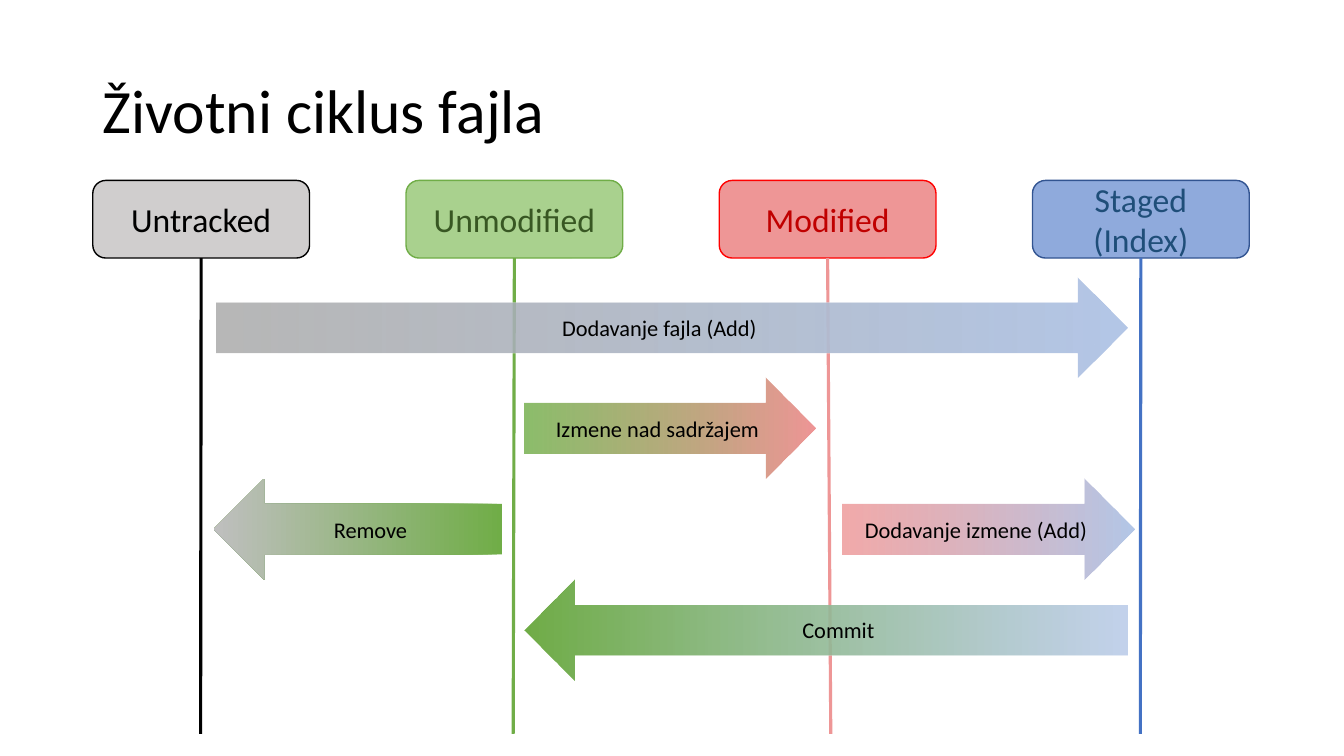
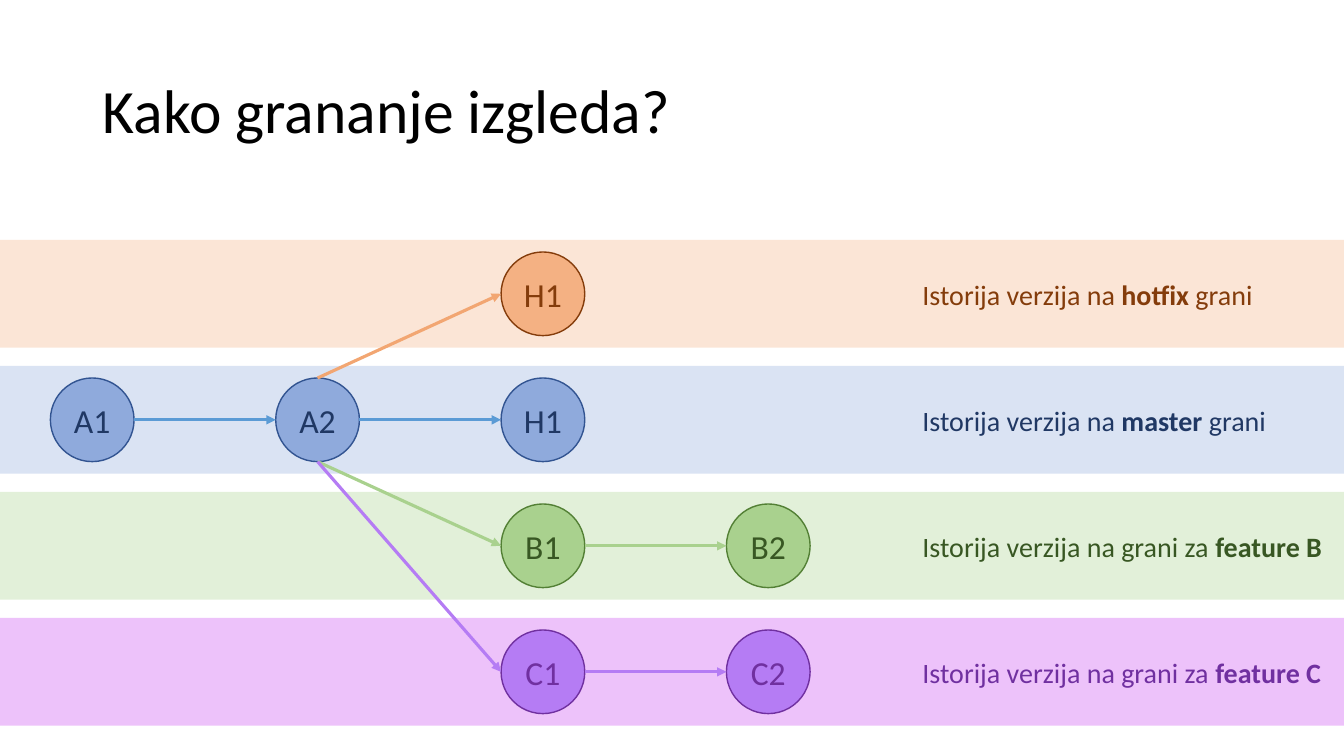
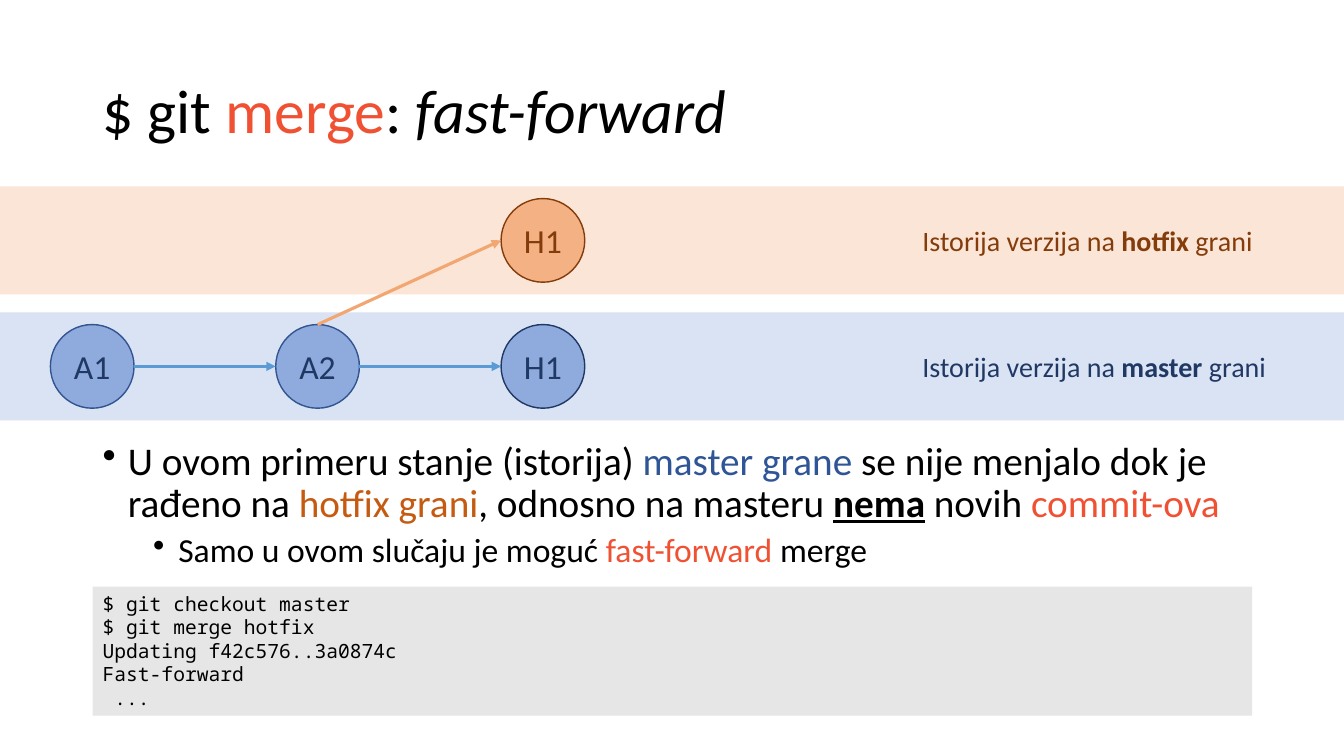
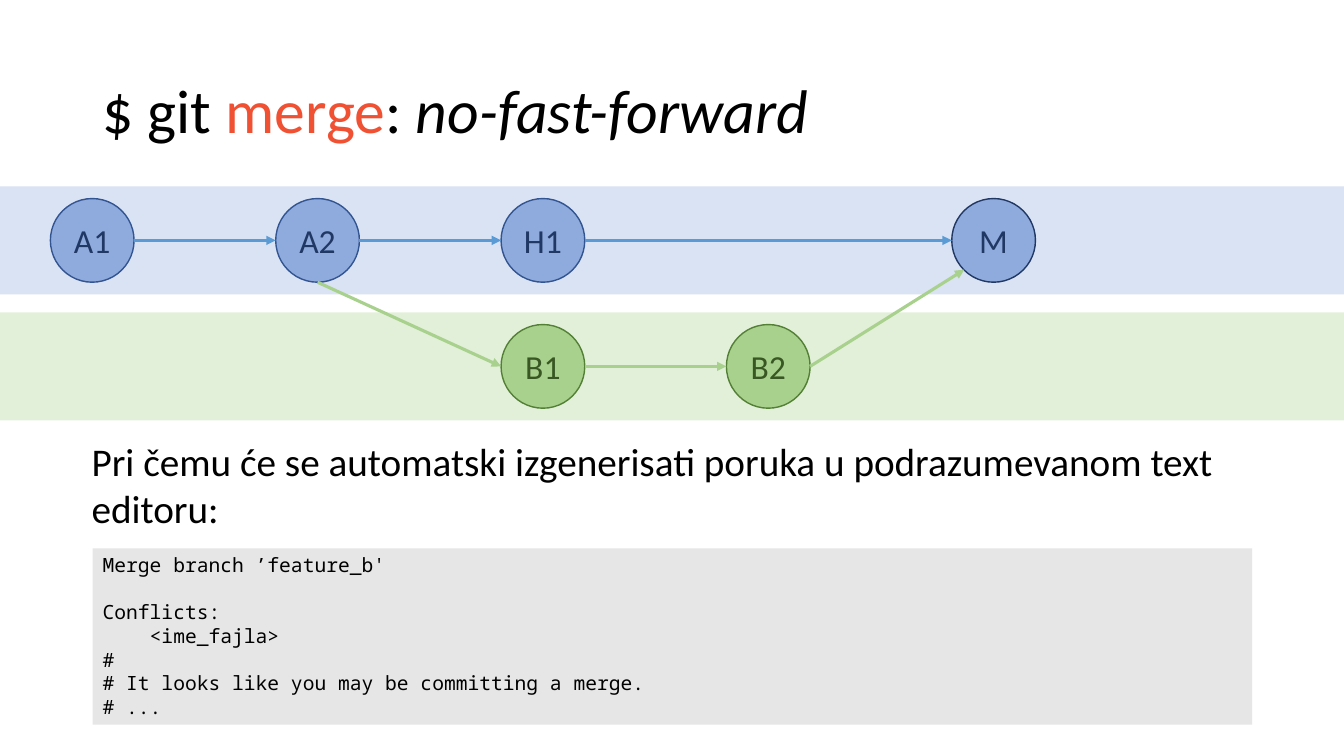
from dataclasses import dataclass
from typing import Optional, Sequence

from pptx import Presentation, util as u
from pptx.dml import color
from pptx.enum import shapes, text
from pptx.oxml import ns, xmlchemy as xml

COLOURS = {
    "black": "000000",
    "accent": "F05133",
    "code": "E7E6E6",
    "grey": "D0CECE",
    "arrow_grey": "A6A6A6",
    "remove_grey": "BFBFBF",
    "green": "70AD47",
    "pale_green": "A9D18E",
    "dark_green": "385723",
    "red": "FF0000",
    "pale_red": "EE9696",
    "dark_red": "C00000",
    "blue": "4472C4",
    "pale_blue": "B4C7E7",
    "node_blue": "8FAADC",
    "outline_blue": "325491",
    "staged_ink": "1F4E79",
    "navy": "203864",
    "master_text": "2F5597",
    "hotfix_text": "C55A11",
    "master_band": "DAE3F3",
    "master_link": "5B9BD5",
    "hotfix_band": "FBE5D6",
    "hotfix_node": "F4B183",
    "hotfix_ink": "843C0B",
    "hotfix_link": "F2A672",
    "b_band": "E2F0D9",
    "b_outline": "538035",
    "c_band": "EDC2FA",
    "c_node": "B57CF4",
    "c_ink": "7030A0",
}
SANS, MONO = "Calibri", "Noto Sans Mono"
SLIDE_WIDTH, SLIDE_HEIGHT = 13.33, 7.5
MARGIN, CONTENT_WIDTH = 0.92, 11.5

HEADER_TOP, HEADER_WIDTH, HEADER_HEIGHT = 1.79, 2.15, 0.77
HEADER_PITCH = (10.24 - MARGIN) / 3
LIFELINE_END = 7.28
ARROW_TOP, ARROW_HEIGHT = 2.75, 1.0

LANE_PITCH, LANE_HEIGHT = 1.25, 1.07
COMMIT_LEFT, COMMIT_PITCH, COMMIT_SIZE = 0.5, 2.235, 0.83
LABEL_LEFT = 9.05

TOP, BOTTOM, LEFT, RIGHT = (0.5, 0), (0.5, 1), (0, 0.5), (1, 0.5)
LOWER_LEFT = (0.15, 0.85)


@dataclass(frozen=True)
class Run:
    text: str
    colour: str = "black"
    bold: bool = False
    italic: bool = False
    underline: bool = False


@dataclass(frozen=True)
class Paragraph:
    runs: Sequence[Run]
    size: float
    font: str = SANS
    align: text.PP_ALIGN = text.PP_ALIGN.LEFT
    line_spacing: Optional[float] = None
    space_before: float = 0
    bullet_indent: Optional[float] = None


@dataclass(frozen=True)
class State:
    lines: Sequence[str]
    fill: str
    outline: str
    ink: str
    lifeline: str
    lifeline_foot: float


@dataclass(frozen=True)
class Transition:
    label: str
    row: int
    left: float
    width: float
    start: str
    end: str
    opacity: int = 80
    backward: bool = False


@dataclass(frozen=True)
class Branch:
    band: str
    node: str
    outline: str
    ink: str
    link: str
    label: Sequence[tuple[str, bool]]


@dataclass(frozen=True)
class Commit:
    name: str
    branch: Branch
    column: int
    outline: Optional[str] = None


@dataclass(frozen=True)
class Link:
    source: Commit
    target: Commit
    branch: Branch
    leave: tuple[float, float] = RIGHT
    arrive: tuple[float, float] = LEFT


STATES = (
    State(("Untracked",), "grey", "black", "black", "black", 1.99),
    State(("Unmodified",), "pale_green", "green", "dark_green", "green", 5.09),
    State(("Modified",), "pale_red", "red", "dark_red", "pale_red", 8.24),
    State(("Staged", "(Index)"), "node_blue", "outline_blue", "staged_ink", "blue", 11.31),
)
TRANSITIONS = (
    Transition("Dodavanje fajla (Add)", 0, 2.15, 9.03, "arrow_grey", "pale_blue"),
    Transition("Izmene nad sadržajem", 1, 5.2, 2.89, "green", "pale_red"),
    Transition("Remove", 2, 2.12, 2.86, "green", "remove_grey", 100, True),
    Transition("Dodavanje izmene (Add)", 2, 8.36, 2.89, "pale_red", "pale_blue"),
    Transition("Commit", 3, 5.2, 5.98, "pale_blue", "green", 80, True),
)

HOTFIX = Branch("hotfix_band", "hotfix_node", "hotfix_ink", "hotfix_ink", "hotfix_link",
                (("Istorija verzija na ", False), ("hotfix ", True), ("grani", False)))
MASTER = Branch("master_band", "node_blue", "outline_blue", "navy", "master_link",
                (("Istorija verzija na ", False), ("master ", True), ("grani", False)))
FEATURE_B = Branch("b_band", "pale_green", "b_outline", "dark_green", "pale_green",
                   (("Istorija verzija na grani za ", False), ("feature B", True)))
FEATURE_C = Branch("c_band", "c_node", "c_ink", "c_ink", "c_node",
                   (("Istorija verzija na grani za ", False), ("feature C", True)))

A1, A2, H1 = (Commit(name, MASTER, i) for i, name in enumerate(("A1", "A2", "H1")))
H1_FORWARDED = Commit("H1", MASTER, 2, "navy")
MERGED = Commit("M", MASTER, 4, "navy")
H1_HOTFIX = Commit("H1", HOTFIX, 2)
B1, B2 = Commit("B1", FEATURE_B, 2), Commit("B2", FEATURE_B, 3)
C1, C2 = Commit("C1", FEATURE_C, 2), Commit("C2", FEATURE_C, 3)

A1_A2 = Link(A1, A2, MASTER)
A2_H1 = Link(A2, H1, MASTER)
A2_HOTFIX = Link(A2, H1_HOTFIX, HOTFIX, TOP)
A2_B1 = Link(A2, B1, FEATURE_B, BOTTOM)
B1_B2 = Link(B1, B2, FEATURE_B)


def rgb(name: str) -> color.RGBColor:
    return color.RGBColor.from_string(COLOURS[name])


def box(left: float, top: float, width: float, height: float) -> list[u.Length]:
    return [u.Inches(value) for value in (left, top, width, height)]


def write(shape, paragraphs: Sequence[Paragraph], anchor=text.MSO_ANCHOR.TOP) -> None:
    frame = shape.text_frame
    frame.word_wrap = True
    frame.vertical_anchor = anchor
    for index, content in enumerate(paragraphs):
        paragraph = frame.add_paragraph() if index else frame.paragraphs[0]
        if content.bullet_indent is not None:
            properties = paragraph._p.get_or_add_pPr()
            properties.set("marL", str(u.Inches(content.bullet_indent)))
            properties.set("indent", str(u.Inches(-0.25)))
            bullet = xml.OxmlElement("a:buChar")
            bullet.set("char", "•")
            properties.append(bullet)
        paragraph.alignment = content.align
        if content.line_spacing:
            paragraph.line_spacing = content.line_spacing
        if content.space_before:
            paragraph.space_before = u.Pt(content.space_before)
        for part in content.runs:
            run = paragraph.add_run()
            run.text = part.text
            run.font.name = content.font
            run.font.size = u.Pt(content.size)
            run.font.color.rgb = rgb(part.colour)
            run.font.bold = part.bold
            run.font.italic = part.italic
            run.font.underline = part.underline


def add_text(slide, place: Sequence[float], paragraphs: Sequence[Paragraph],
             anchor=text.MSO_ANCHOR.TOP):
    block = slide.shapes.add_textbox(*box(*place))
    write(block, paragraphs, anchor)
    return block


def add_figure(slide, kind, place: Sequence[float], fill: Optional[str] = None,
               outline: Optional[str] = None):
    figure = slide.shapes.add_shape(kind, *box(*place))
    figure.shadow.inherit = False
    if fill:
        figure.fill.solid()
        figure.fill.fore_color.rgb = rgb(fill)
    if outline:
        figure.line.color.rgb = rgb(outline)
        figure.line.width = u.Pt(1)
    else:
        figure.line.fill.background()
    return figure


def write_centred(shape, lines: Sequence[str], size: float, ink: str) -> None:
    write(shape, [Paragraph([Run(line, ink)], size, align=text.PP_ALIGN.CENTER)
                  for line in lines], text.MSO_ANCHOR.MIDDLE)


def add_line(slide, start: tuple[float, float], end: tuple[float, float],
             colour: str, arrow: bool = False):
    line = slide.shapes.add_connector(
        shapes.MSO_CONNECTOR.STRAIGHT, *box(*start, *end))
    line.line.color.rgb = rgb(colour)
    line.line.width = u.Pt(2.25)
    properties = line.element.spPr
    if arrow:
        tail = xml.OxmlElement("a:tailEnd")
        tail.set("type", "triangle")
        properties.find(ns.qn("a:ln")).append(tail)
    properties.append(xml.OxmlElement("a:effectLst"))
    return line


def add_titled_slide(deck, runs: Sequence[Run]):
    slide = deck.slides.add_slide(deck.slide_layouts[6])
    add_text(slide, (MARGIN, 0.4, CONTENT_WIDTH, 1.45),
             [Paragraph(runs, 44, line_spacing=0.9)], text.MSO_ANCHOR.MIDDLE)
    return slide


def add_merge_slide(deck, mode: str):
    return add_titled_slide(deck, [Run("$ git "), Run("merge", "accent"), Run(": "),
                                   Run(mode, italic=True)])


def add_code(slide, top: float, height: float, lines: Sequence[Paragraph]) -> None:
    panel = add_text(slide, (MARGIN, top, CONTENT_WIDTH, height), lines)
    panel.fill.solid()
    panel.fill.fore_color.rgb = rgb("code")


def code_line(line: str, space_before: float = 0) -> Paragraph:
    return Paragraph([Run(line)], 14, MONO, space_before=space_before)


def add_state(slide, index: int, state: State) -> None:
    """Draw a state's header with the lifeline below it."""
    left = MARGIN + index * HEADER_PITCH
    header = add_figure(slide, shapes.MSO_SHAPE.ROUNDED_RECTANGLE,
                        (left, HEADER_TOP, HEADER_WIDTH, HEADER_HEIGHT),
                        state.fill, state.outline)
    write_centred(header, state.lines, 24, state.ink)
    lifeline = add_line(slide, (left + HEADER_WIDTH / 2, HEADER_TOP + HEADER_HEIGHT),
                        (state.lifeline_foot, LIFELINE_END), state.lifeline)
    lifeline.begin_connect(header, 2)


def add_transition(slide, transition: Transition) -> None:
    kind = (shapes.MSO_SHAPE.LEFT_ARROW if transition.backward
            else shapes.MSO_SHAPE.RIGHT_ARROW)
    arrow = add_figure(slide, kind, (transition.left, ARROW_TOP + transition.row * ARROW_HEIGHT,
                                     transition.width, ARROW_HEIGHT))
    arrow.fill.gradient()
    arrow.fill.gradient_angle = 180 if transition.backward else 0
    ends = (transition.start, transition.end)
    for position, (stop, colour) in enumerate(zip(arrow.fill.gradient_stops, ends)):
        stop.position = position
        stop.color.rgb = rgb(colour)
    if transition.opacity < 100:
        alpha = xml.OxmlElement("a:alpha")
        alpha.set("val", str(transition.opacity * 1000))
        gradient = arrow.element.spPr.find(ns.qn("a:gradFill"))
        next(gradient.iter(ns.qn("a:srgbClr"))).append(alpha)
    write_centred(arrow, [transition.label], 16, "black")


def add_history(slide, top: float, lanes: Sequence[Branch], commits: Sequence[Commit],
                links: Sequence[Link], labelled: bool = True) -> None:
    """Draw one band per branch, with its commits and the links between them."""

    def corner(commit: Commit) -> tuple[float, float]:
        return (COMMIT_LEFT + commit.column * COMMIT_PITCH,
                top + lanes.index(commit.branch) * LANE_PITCH
                + (LANE_HEIGHT - COMMIT_SIZE) / 2)

    def port(commit: Commit, side: tuple[float, float]) -> tuple[float, float]:
        left, upper = corner(commit)
        return left + side[0] * COMMIT_SIZE, upper + side[1] * COMMIT_SIZE

    for index, branch in enumerate(lanes):
        lane_top = top + index * LANE_PITCH
        add_figure(slide, shapes.MSO_SHAPE.RECTANGLE,
                   (0, lane_top, SLIDE_WIDTH, LANE_HEIGHT), branch.band)
        if labelled:
            runs = [Run(part, branch.ink, bold) for part, bold in branch.label]
            add_text(slide, (LABEL_LEFT, lane_top + 0.32, SLIDE_WIDTH - LABEL_LEFT, 0.44),
                     [Paragraph(runs, 20)])
    for commit in commits:
        branch = commit.branch
        node = add_figure(slide, shapes.MSO_SHAPE.OVAL,
                          (*corner(commit), COMMIT_SIZE, COMMIT_SIZE),
                          branch.node, commit.outline or branch.outline)
        frame = node.text_frame
        frame.margin_left = frame.margin_right = 0
        write_centred(node, [commit.name], 24, branch.ink)
    for link in links:
        add_line(slide, port(link.source, link.leave), port(link.target, link.arrive),
                 link.branch.link, arrow=True)


def build_life_cycle(deck) -> None:
    slide = add_titled_slide(deck, [Run("Životni ciklus fajla")])
    for index, state in enumerate(STATES):
        add_state(slide, index, state)
    for transition in TRANSITIONS:
        add_transition(slide, transition)


def build_branching(deck) -> None:
    slide = add_titled_slide(deck, [Run("Kako grananje izgleda?")])
    add_history(slide, 2.38, (HOTFIX, MASTER, FEATURE_B, FEATURE_C),
                (A1, A2, H1, H1_HOTFIX, B1, B2, C1, C2),
                (A1_A2, A2_H1, A2_HOTFIX, A2_B1, B1_B2,
                 Link(A2, C1, FEATURE_C, BOTTOM), Link(C1, C2, FEATURE_C)))


def build_fast_forward(deck) -> None:
    slide = add_merge_slide(deck, "fast-forward")
    add_history(slide, 1.85, (HOTFIX, MASTER), (A1, A2, H1_FORWARDED, H1_HOTFIX),
                (A1_A2, Link(A2, H1_FORWARDED, MASTER), A2_HOTFIX))
    condition = [
        Run("U ovom primeru stanje (istorija) "),
        Run("master grane ", "master_text"),
        Run("se nije menjalo dok je rađeno na "),
        Run("hotfix grani", "hotfix_text"),
        Run(", odnosno na masteru "),
        Run("nema", bold=True, underline=True),
        Run(" novih "),
        Run("commit-ova", "accent"),
    ]
    consequence = [Run("Samo u ovom slučaju je moguć "), Run("fast-forward", "accent"),
                   Run(" merge")]
    add_text(slide, (MARGIN, 4.33, CONTENT_WIDTH, 1.49), [
        Paragraph(condition, 28, line_spacing=0.9, bullet_indent=0.25),
        Paragraph(consequence, 24, line_spacing=0.9, space_before=5, bullet_indent=0.75),
    ])
    add_code(slide, 5.82, 1.28, [code_line(line) for line in (
        "$ git checkout master",
        "$ git merge hotfix",
        "Updating f42c576..3a0874c",
        "Fast-forward",
        " ...",
    )])


def build_no_fast_forward(deck) -> None:
    slide = add_merge_slide(deck, "no-fast-forward")
    add_history(slide, 1.85, (MASTER, FEATURE_B), (A1, A2, H1, MERGED, B1, B2),
                (A1_A2, A2_H1, A2_B1, B1_B2, Link(H1, MERGED, MASTER),
                 Link(B2, MERGED, FEATURE_B, arrive=LOWER_LEFT)), labelled=False)
    message = "Pri čemu će se automatski izgenerisati poruka u podrazumevanom text editoru:"
    add_text(slide, (0.81, 4.29, 11.89, 1.04), [Paragraph([Run(message)], 28)])
    add_code(slide, 5.44, 1.75, [
        code_line("Merge branch ’feature_b'"),
        code_line("Conflicts:", space_before=16.8),
        code_line("    <ime_fajla>"),
        code_line("#"),
        code_line("# It looks like you may be committing a merge."),
        code_line("# ..."),
    ])


def main() -> None:
    deck = Presentation()
    deck.slide_width, deck.slide_height = u.Inches(SLIDE_WIDTH), u.Inches(SLIDE_HEIGHT)
    build_life_cycle(deck)
    build_branching(deck)
    build_fast_forward(deck)
    build_no_fast_forward(deck)
    deck.save("out.pptx")


if __name__ == "__main__":
    main()
